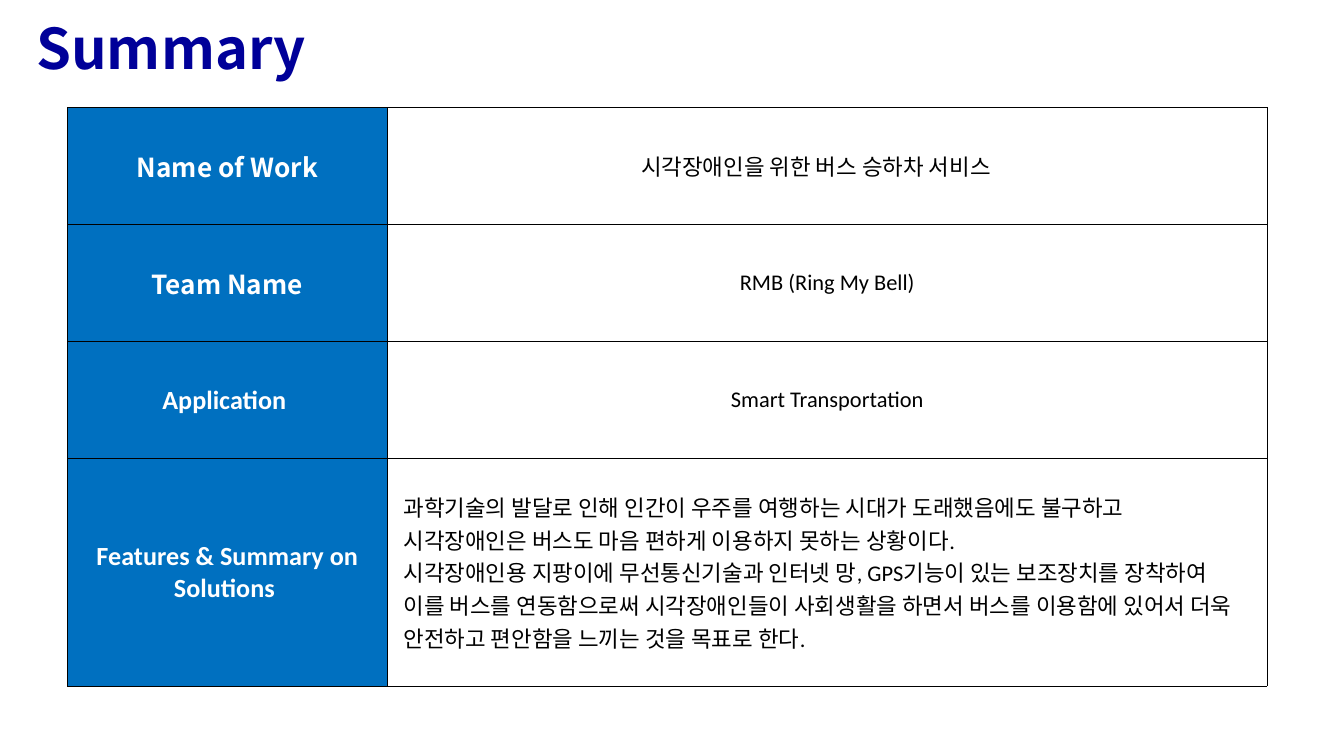
from lxml.etree import SubElement
from pptx import Presentation
from pptx.dml.color import RGBColor
from pptx.enum.text import MSO_ANCHOR, PP_ALIGN
from pptx.oxml.ns import qn
from pptx.util import Inches, Pt

# Content: label, label font, answer paragraphs, answer alignment
TITLE = "Summary"
KR, TC, LATIN = "Noto Sans CJK KR", "Noto Sans CJK TC", "Calibri"
ROWS = [
    ("Name of Work", TC, ["시각장애인을 위한 버스 승하차 서비스　"], PP_ALIGN.CENTER),
    ("Team Name", KR, ["RMB (Ring My Bell)"], PP_ALIGN.CENTER),
    ("Application ", LATIN, ["Smart Transportation"], PP_ALIGN.CENTER),
    ("Features & Summary on Solutions ", LATIN, [
        "과학기술의 발달로 인해 인간이 우주를 여행하는 시대가 도래했음에도 불구하고 "
        "시각장애인은 버스도 마음 편하게 이용하지 못하는 상황이다.",
        "시각장애인용 지팡이에 무선통신기술과 인터넷 망, GPS기능이 있는 보조장치를 장착하여 "
        "이를 버스를 연동함으로써 시각장애인들이 사회생활을 하면서 버스를 이용함에 있어서 더욱 "
        "안전하고 편안함을 느끼는 것을 목표로 한다.",
    ], PP_ALIGN.LEFT),
]
COLORS = {"title": "000099", "label": "0070C0", "white": "FFFFFF", "black": "000000"}
COL_WIDTHS = [2.38, 6.54]
ROW_HEIGHTS = [0.87, 0.87, 0.87, 1.69]


def color(name):
    return RGBColor.from_string(COLORS[name])


def write(tf, lines, align, font, size, bold, ink):
    for i, line in enumerate(lines):
        p = tf.paragraphs[0] if i == 0 else tf.add_paragraph()
        p.alignment = align
        r = p.add_run()
        r.text = line
        for key, value in {"name": font, "size": Pt(size), "bold": bold}.items():
            setattr(r.font, key, value)
        r.font.color.rgb = color(ink)
        east_asian = KR if font == LATIN else font
        SubElement(r.font._element, qn("a:ea"), typeface=east_asian)


def add_borders(cell):
    tcPr = cell._tc.get_or_add_tcPr()
    for side in ("lnL", "lnR", "lnT", "lnB"):
        ln = SubElement(tcPr, qn(f"a:{side}"), w=str(Pt(0.23)))
        fill = SubElement(ln, qn("a:solidFill"))
        SubElement(fill, qn("a:srgbClr"), val=COLORS["black"])


def fill_cell(cell, lines, align, font, size, bold, ink, back, inset):
    margins = {"margin_left": inset, "margin_right": inset,
               "margin_top": 0.05, "margin_bottom": 0.05}
    for key, value in margins.items():
        setattr(cell, key, Inches(value))
    cell.vertical_anchor = MSO_ANCHOR.MIDDLE
    add_borders(cell)
    cell.fill.solid()
    cell.fill.fore_color.rgb = color(back)
    write(cell.text_frame, lines, align, font, size, bold, ink)


prs = Presentation()
prs.slide_width, prs.slide_height = Inches(9.99), Inches(5.62)
s = prs.slides.add_slide(prs.slide_layouts[5])

# Title
title = s.shapes.title
title.left, title.top, title.width, title.height = map(Inches, (0.17, 0.05, 3.15, 0.6))
tf = title.text_frame
for key, value in {"margin_top": 0, "margin_bottom": 0, "word_wrap": True,
                   "vertical_anchor": MSO_ANCHOR.MIDDLE}.items():
    setattr(tf, key, value)
write(tf, [TITLE], PP_ALIGN.LEFT, KR, 30, True, "title")

# Summary table
table = s.shapes.add_table(
    len(ROWS), len(COL_WIDTHS), Inches(0.5), Inches(0.8),
    Inches(sum(COL_WIDTHS)), Inches(sum(ROW_HEIGHTS))).table
table.first_row = table.horz_banding = False
for col, width in zip(table.columns, COL_WIDTHS):
    col.width = Inches(width)
for row, height, (label, font, answer, align) in zip(table.rows, ROW_HEIGHTS, ROWS):
    row.height = Inches(height)
    label_cell, answer_cell = row.cells
    fill_cell(label_cell, [label], PP_ALIGN.CENTER, font, 14, True, "white", "label", 0.01)
    fill_cell(answer_cell, answer, align, LATIN, 12, False, "black", "white", 0.12)

prs.save("out.pptx")
